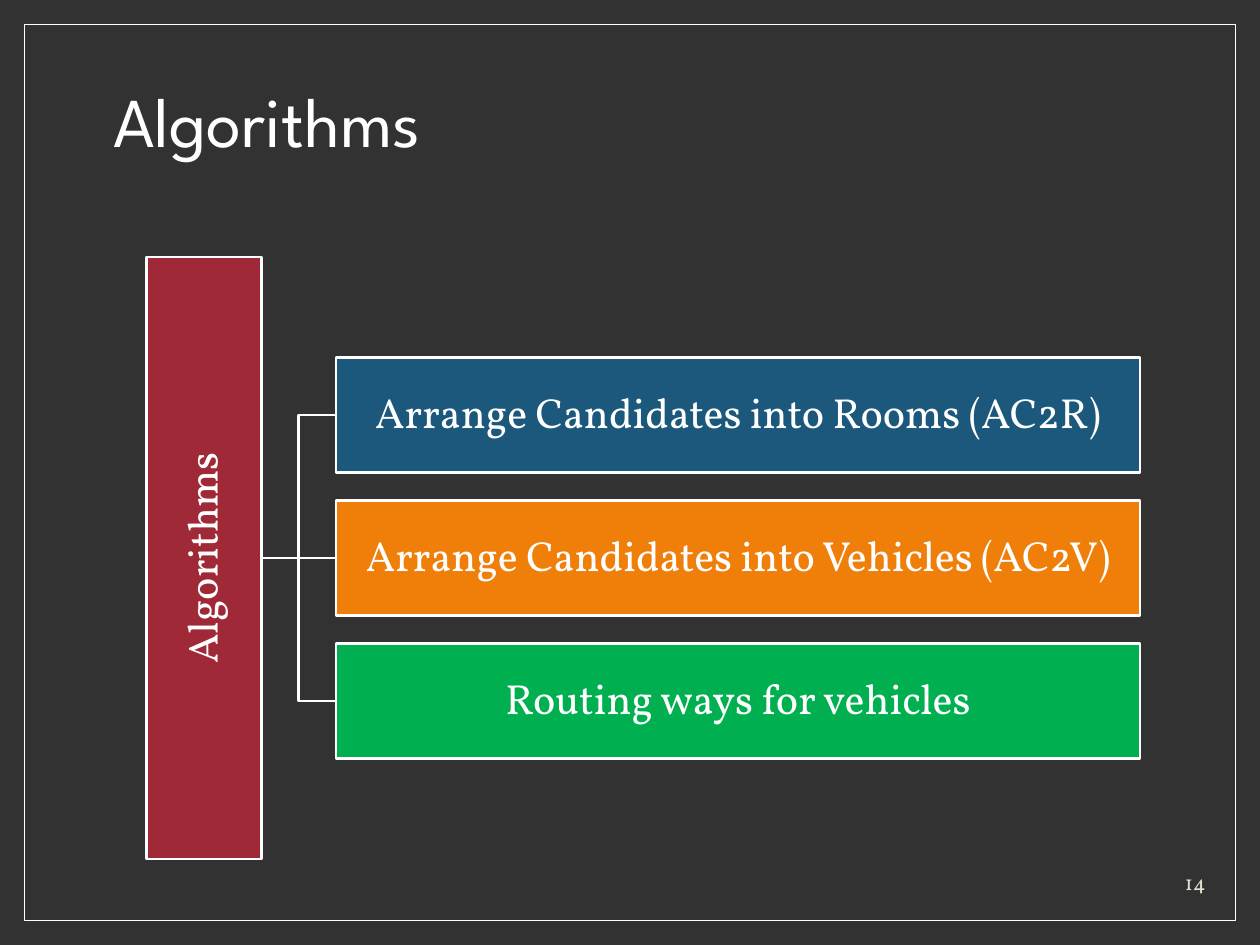
from lxml import etree
from pptx import Presentation
from pptx.dml.color import RGBColor
from pptx.enum.shapes import MSO_CONNECTOR, MSO_SHAPE
from pptx.enum.text import MSO_ANCHOR, PP_ALIGN
from pptx.oxml.ns import qn
from pptx.util import Emu, Pt

RECT = MSO_SHAPE.RECTANGLE
STRAIGHT, ELBOW = MSO_CONNECTOR.STRAIGHT, MSO_CONNECTOR.ELBOW
LEFT, CENTER, RIGHT = PP_ALIGN.LEFT, PP_ALIGN.CENTER, PP_ALIGN.RIGHT
MIDDLE, BOTTOM = MSO_ANCHOR.MIDDLE, MSO_ANCHOR.BOTTOM
HEAD_FONT, BODY_FONT = "League Spartan", "Vollkorn"
COLORS = {
    "back": "323232", "white": "FFFFFF", "number": "E3DED1", "red": "9F2936",
    "blue": "1B587C", "orange": "F07F09", "green": "00B050",
}


def px(n):
    return Emu(round(n * 914400 / 126))


def rgb(name):
    return RGBColor.from_string(COLORS[name])


class Deck:
    """Holds the style and the current slide, and draws each kind of element."""

    def __init__(self, width, height):
        self.prs = Presentation()
        self.prs.slide_width, self.prs.slide_height = px(width), px(height)
        self.s = self.prs.slides.add_slide(self.prs.slide_layouts[6])
        fill = self.s.background.fill
        fill.solid()
        fill.fore_color.rgb = rgb("back")

    def set_text(self, tf, text, size, font, color, align, anchor, spacing=0.9):
        tf.word_wrap = True
        tf.vertical_anchor = anchor
        p = tf.paragraphs[0]
        p.text = text
        p.alignment = align
        p.line_spacing = spacing
        p.font.size, p.font.name = Pt(size), font
        p.font.color.rgb = rgb(color)

    def text(self, x, y, w, h, *style, **options):
        sp = self.s.shapes.add_textbox(px(x), px(y), px(w), px(h))
        self.set_text(sp.text_frame, *style, **options)

    def outline(self, sp, width):
        sp.line.color.rgb = rgb("white")
        sp.line.width = Pt(width)

    def frame(self, x, y, w, h):
        sp = self.s.shapes.add_shape(RECT, px(x), px(y), px(w), px(h))
        sp.shadow.inherit = False
        sp.fill.background()
        self.outline(sp, 0.5)

    def box(self, cx, cy, w, h, text, color, rotation=0):
        sp = self.s.shapes.add_shape(
            RECT, px(cx - w / 2), px(cy - h / 2), px(w), px(h))
        sp.shadow.inherit = False
        sp.rotation = rotation
        sp.fill.solid()
        sp.fill.fore_color.rgb = rgb(color)
        self.outline(sp, 1.5)
        tf = sp.text_frame
        tf.margin_left = tf.margin_right = tf.margin_top = tf.margin_bottom = px(2)
        self.set_text(tf, text, 24, BODY_FONT, "white", CENTER, MIDDLE)

    def connect(self, x1, y1, x2, y2):
        kind = STRAIGHT if y1 == y2 else ELBOW
        c = self.s.shapes.add_connector(kind, px(x1), px(y1), px(x2), px(y2))
        self.outline(c, 1.5)
        etree.SubElement(c._element.spPr, qn("a:effectLst"))


def main():
    d = Deck(1260, 945)
    d.frame(24, 24, 1212, 897)
    d.text(101, 30, 1058, 189, "Algorithms", 40, HEAD_FONT, "white", LEFT, MIDDLE)
    d.text(1067, 863, 151, 38, "14", 12, BODY_FONT, "number", RIGHT, BOTTOM,
           spacing=1)

    root_x, mid_y, root_len, thick = 204, 558, 602, 115
    branch_x, branch_w, pitch = 336, 804, 143
    branches = [
        ("Arrange Candidates into Rooms (AC2R)", "blue"),
        ("Arrange Candidates into Vehicles (AC2V)", "orange"),
        ("Routing ways for vehicles", "green"),
    ]
    rows = [mid_y + (i - 1) * pitch for i in range(len(branches))]
    for y in rows:
        d.connect(root_x + thick / 2, mid_y, branch_x, y)
    d.box(root_x, mid_y, root_len, thick, "Algorithms", "red", rotation=270)
    for y, (text, color) in zip(rows, branches):
        d.box(branch_x + branch_w / 2, y, branch_w, thick, text, color)
    d.prs.save("out.pptx")


if __name__ == "__main__":
    main()
